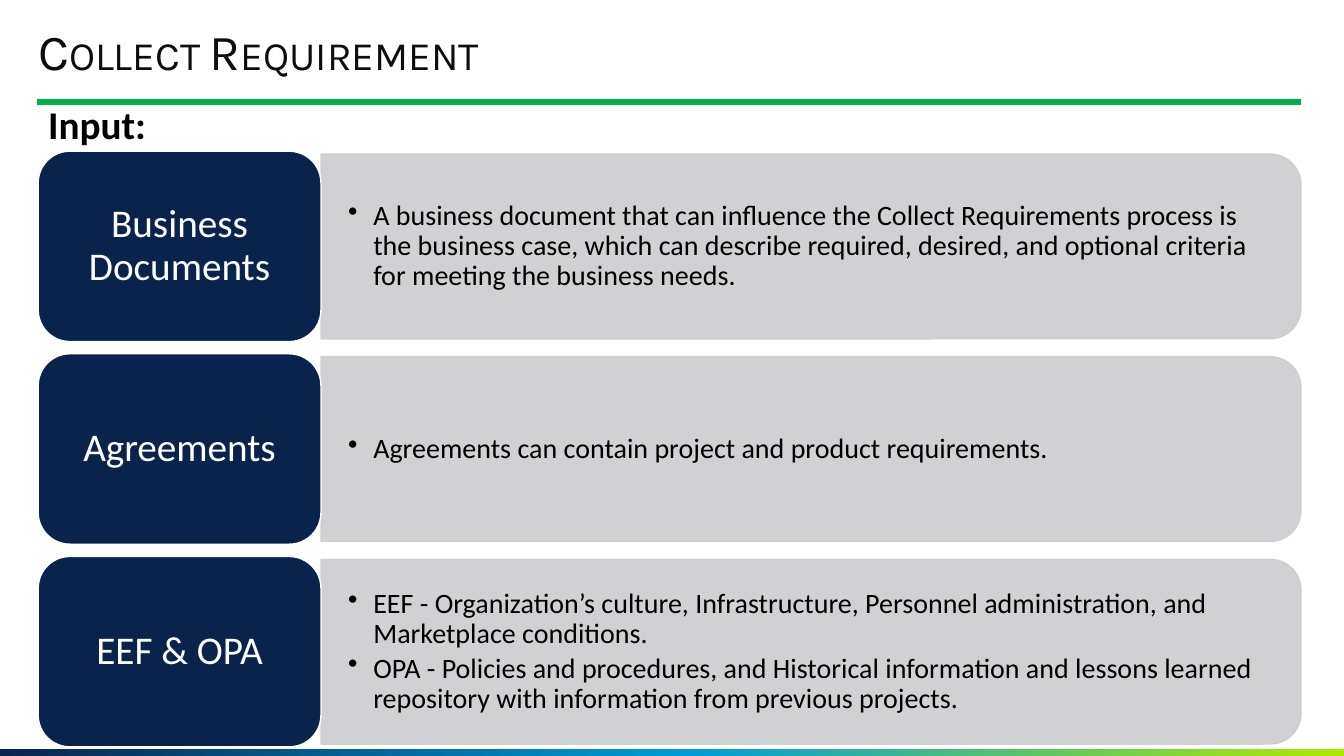
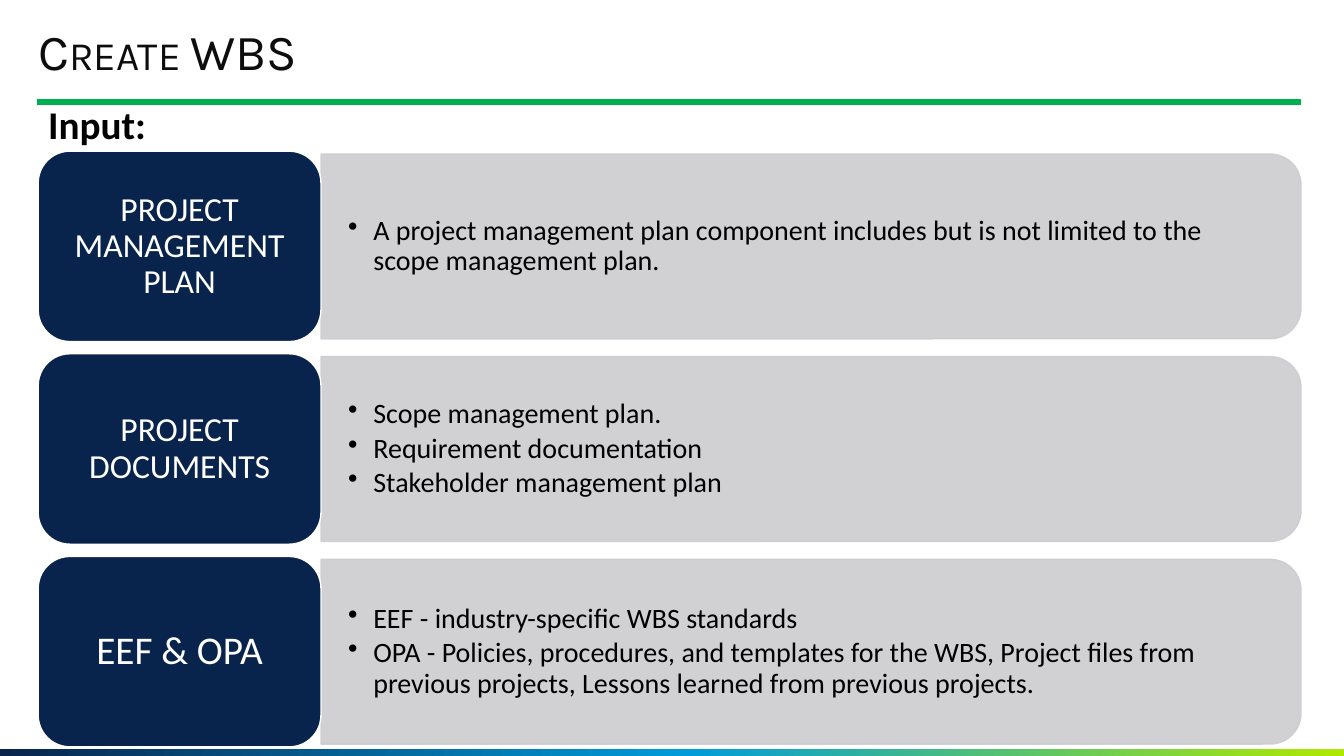
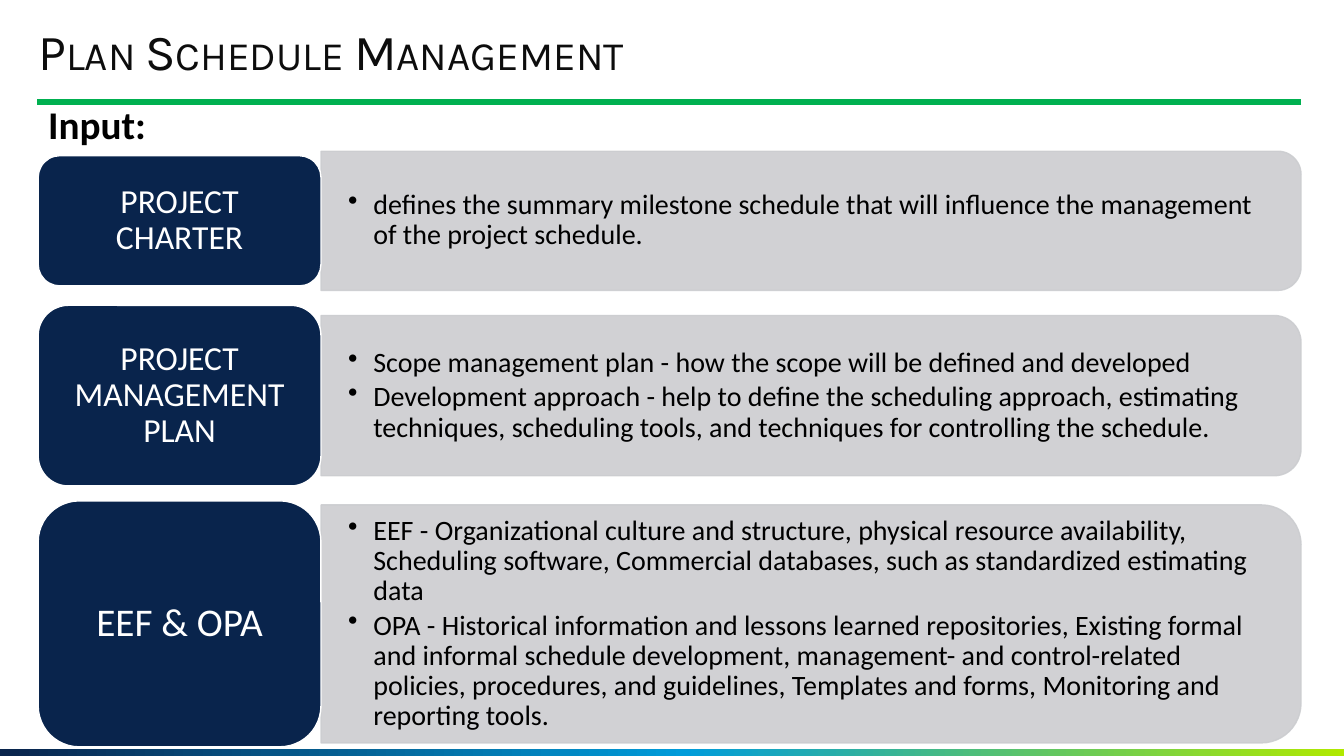
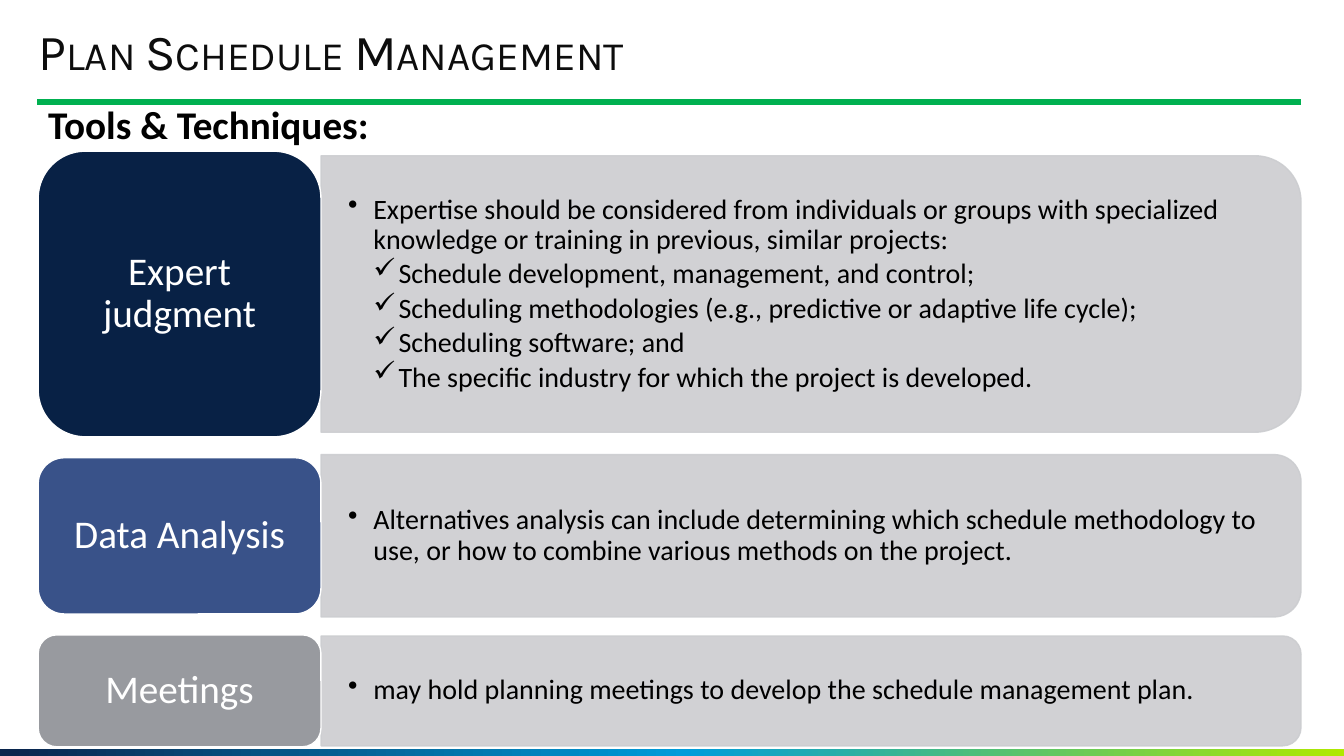
from copy import deepcopy
from dataclasses import dataclass

from lxml import etree
from pptx import Presentation
from pptx.dml.color import RGBColor as Rgb
from pptx.enum import shapes, text
from pptx.oxml.ns import qn
from pptx.util import Pt


@dataclass(frozen=True)
class Theme:
    navy: str = "09244C"
    deep: str = "082145"
    blue: str = "395289"
    slate: str = "989A9F"
    pale: str = "CCCDD0"
    green: str = "00B050"
    sky: str = "009CDA"
    lime: str = "B0E900"
    ink: str = "0D0D0D"
    black: str = "000000"
    white: str = "FFFFFF"
    head: str = "Karla"
    body: str = "Calibri"
    title: int = 36
    large: int = 28
    mid: int = 24
    small: int = 20


T = Theme()
WIDE, HIGH = 960, 540
LEFT, TOP, END = 27.3, 108, 533.5
TAB, PANE = 202, 700
STEP = 18


@dataclass
class Row:
    label: str
    points: tuple
    tall: float = 136
    pane: float = 132
    size: int = T.large
    fill: str = T.navy
    checks: tuple = ()


def style(para, size, color, face=T.body, bold=None):
    para.line_spacing = 0.9
    font = para.font
    font.size, font.name, font.bold = Pt(size), face, bold
    font.color.rgb = Rgb.from_string(color)


def bullet(para, mark, depth):
    props = para._p.get_or_add_pPr()
    props.set("lvl", str(depth))
    props.set("marL", str(Pt(STEP * depth)))
    props.set("indent", str(-Pt(STEP)))
    etree.SubElement(props, qn("a:buChar")).set("char", mark)


def frame(shape, across, down, anchor=text.MSO_ANCHOR.TOP):
    body = shape.text_frame
    body.word_wrap = True
    body.vertical_anchor = anchor
    body.margin_left = body.margin_right = Pt(across)
    body.margin_top = body.margin_bottom = Pt(down)
    return body


def box(slide, x, y, w, h, *inset):
    return frame(slide.shapes.add_textbox(Pt(x), Pt(y), Pt(w), Pt(h)), *inset)


def block(slide, kind, x, y, w, h, fill=None, edge=None):
    shape = slide.shapes.add_shape(kind, Pt(x), Pt(y), Pt(w), Pt(h))
    shape.shadow.inherit = False
    if fill:
        shape.fill.solid()
        shape.fill.fore_color.rgb = Rgb.from_string(fill)
    if edge:
        shape.line.color.rgb = Rgb.from_string(edge)
        shape.line.width = Pt(1)
    else:
        shape.line.fill.background()
    return shape


def band(slide):
    bar = block(slide, shapes.MSO_SHAPE.RECTANGLE, 0, HIGH - 5, WIDE, 5)
    bar.fill.gradient()
    bar.fill.gradient_angle = 0
    stops = bar._element.spPr.find(".//" + qn("a:gsLst"))
    stops.insert(1, deepcopy(stops[0]))
    tints = (T.navy, 0), (T.sky, 0.51), (T.lime, 1)
    for stop, (color, place) in zip(bar.fill.gradient_stops, tints):
        stop.color.rgb = Rgb.from_string(color)
        stop.position = place


def rule(slide):
    line = slide.shapes.add_connector(
        shapes.MSO_CONNECTOR.STRAIGHT, Pt(26.6), Pt(72.7), Pt(929.5), Pt(72.7))
    line.line.color.rgb = Rgb.from_string(T.green)
    line.line.width = Pt(4.5)
    etree.SubElement(line._element.spPr, qn("a:effectLst"))


def title(slide, words):
    para = box(slide, LEFT, 19.4, 806, 39.6, 0, 0).paragraphs[0]
    para.text = words
    style(para, T.title, T.ink, T.head)
    para._p.pPr.find(qn("a:defRPr")).set("cap", "small")


def lead(slide, words):
    para = box(slide, LEFT, 72, 902, 39.6, 7.2, 3.6).paragraphs[0]
    para.text = words
    style(para, T.large, T.black, bold=True)


def tab(slide, row, mid):
    shape = block(slide, shapes.MSO_SHAPE.ROUNDED_RECTANGLE,
                  LEFT, mid - row.tall / 2, TAB, row.tall, row.fill, T.white)
    body = frame(shape, row.size * 0.3, row.size * 0.15, text.MSO_ANCHOR.MIDDLE)
    para = body.paragraphs[0]
    para.text = row.label
    para.alignment = text.PP_ALIGN.CENTER
    style(para, row.size, T.white)


def pane(slide, row, mid):
    x = LEFT + TAB
    shape = block(slide, shapes.MSO_SHAPE.ROUND_2_SAME_RECTANGLE,
                  x + (PANE - row.pane) / 2, mid - PANE / 2,
                  row.pane, PANE, T.pale, T.pale)
    shape.rotation = 90
    for color in shape._element.spPr.iter(qn("a:srgbClr")):
        etree.SubElement(color, qn("a:alpha")).set("val", "90000")

    trim = row.pane * 0.0483
    body = box(slide, x, mid - row.pane / 2 + trim, PANE - trim,
               row.pane - 2 * trim, 19.4, 10, text.MSO_ANCHOR.MIDDLE)
    items = [("•", 1, words) for words in row.points]
    items += [("✓", 2, words) for words in row.checks]
    for i, (mark, depth, words) in enumerate(items):
        para = body.add_paragraph() if i else body.paragraphs[0]
        para.text = words
        bullet(para, mark, depth)
        para.space_after = Pt(3)
        style(para, T.small, T.black)


def stack(slide, rows):
    slots = [max(row.tall, row.pane) for row in rows]
    gap = (END - TOP - sum(slots)) / (len(rows) - 1)
    y = TOP
    for row, slot in zip(rows, slots):
        pane(slide, row, y + slot / 2)
        tab(slide, row, y + slot / 2)
        y += slot + gap


DECK = (
    ("Collect Requirement", "Input:", (
        Row("Business Documents", (
            "A business document that can influence the Collect Requirements process is the business case, which can describe required, desired, and optional criteria for meeting the business needs.",)),
        Row("Agreements", (
            "Agreements can contain project and product requirements.",)),
        Row("EEF & OPA", (
            "EEF - Organization’s culture, Infrastructure, Personnel administration, and Marketplace conditions.",
            "OPA - Policies and procedures, and Historical information and lessons learned repository with information from previous projects.")),
    )),
    ("Create WBS", "Input:", (
        Row("PROJECT MANAGEMENT PLAN", (
            "A project management plan component includes but is not limited to the scope management plan.",),
            size=T.mid),
        Row("PROJECT DOCUMENTS", (
            "Scope management plan.",
            "Requirement documentation",
            "Stakeholder management plan"), size=T.mid),
        Row("EEF & OPA", (
            "EEF - industry-specific WBS standards",
            "OPA - Policies, procedures, and templates for the WBS, Project files from previous projects, Lessons learned from previous projects.")),
    )),
    ("Plan Schedule Management", "Input:", (
        Row("PROJECT CHARTER", (
            "defines the summary milestone schedule that will influence the management of the project schedule.",),
            93, 99.4, T.mid),
        Row("PROJECT MANAGEMENT PLAN", (
            "Scope management plan - how the scope will be defined and developed",
            "Development approach - help to define the scheduling approach, estimating techniques, scheduling tools, and techniques for controlling the schedule."),
            129, 114.5, T.mid),
        Row("EEF & OPA", (
            "EEF - Organizational culture and structure, physical resource availability, Scheduling software, Commercial databases, such as standardized estimating data",
            "OPA - Historical information and lessons learned repositories, Existing formal and informal schedule development, management- and control-related policies, procedures, and guidelines, Templates and forms, Monitoring and reporting tools."),
            175.7, 170),
    )),
    ("Plan Schedule Management", "Tools & Techniques:", (
        Row("Expert judgment", (
            "Expertise should be considered from individuals or groups with specialized knowledge or training in previous, similar projects:",),
            204, 197.5, fill=T.deep, checks=(
                "Schedule development, management, and control;",
                "Scheduling methodologies (e.g., predictive or adaptive life cycle);",
                "Scheduling software; and",
                "The specific industry for which the project is developed.")),
        Row("Data Analysis", (
            "Alternatives analysis can include determining which schedule methodology to use, or how to combine various methods on the project.",),
            111.6, 116, fill=T.blue),
        Row("Meetings", (
            "may hold planning meetings to develop the schedule management plan.",),
            80, 78.5, fill=T.slate),
    )),
)


def main():
    prs = Presentation()
    prs.slide_width, prs.slide_height = Pt(WIDE), Pt(HIGH)
    for name, intro, rows in DECK:
        slide = prs.slides.add_slide(prs.slide_layouts[6])
        band(slide)
        rule(slide)
        title(slide, name)
        lead(slide, intro)
        stack(slide, rows)
    prs.save("out.pptx")


if __name__ == "__main__":
    main()
